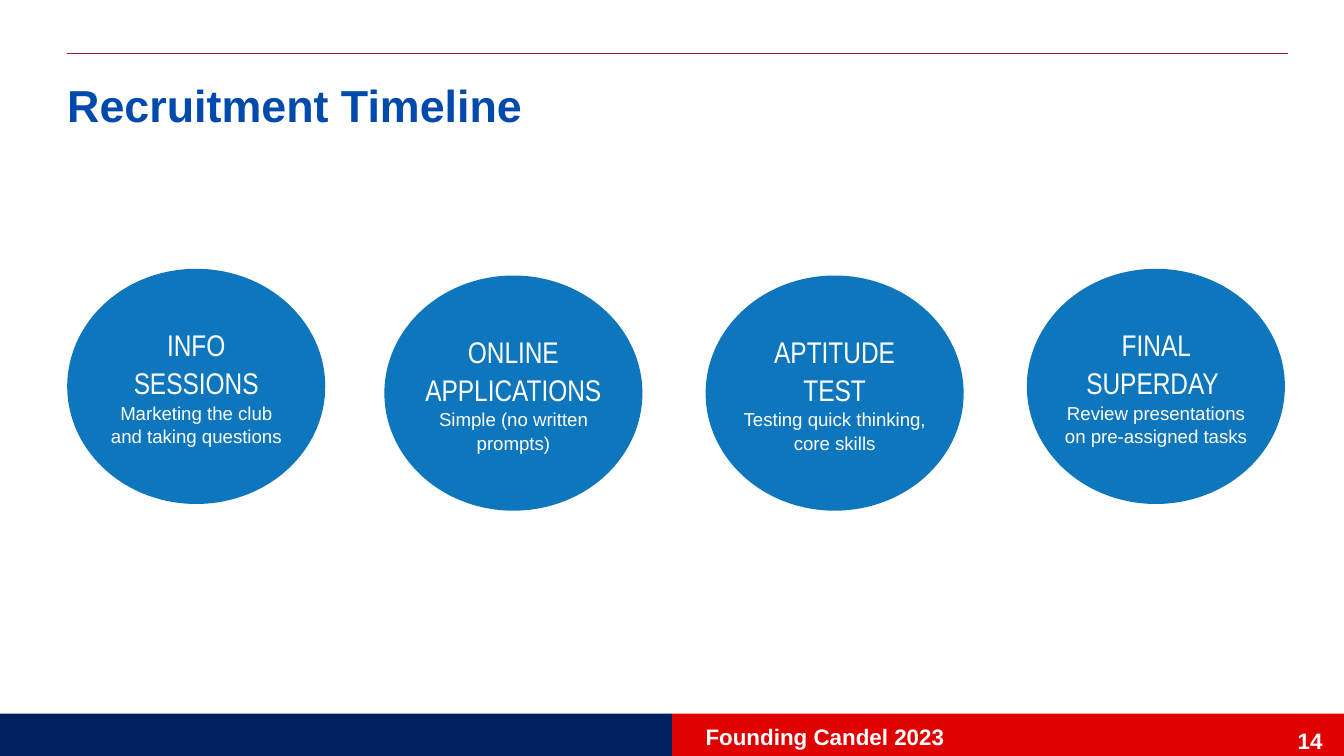
from dataclasses import dataclass

from lxml import etree
from pptx import Presentation
from pptx.dml.color import RGBColor
from pptx.enum.shapes import MSO_CONNECTOR, MSO_SHAPE
from pptx.enum.text import MSO_ANCHOR, PP_ALIGN
from pptx.oxml.ns import qn
from pptx.util import Inches, Pt

RECTANGLE, ELLIPSE = MSO_SHAPE.RECTANGLE, MSO_SHAPE.OVAL
STRAIGHT = MSO_CONNECTOR.STRAIGHT
TOP, MIDDLE = MSO_ANCHOR.TOP, MSO_ANCHOR.MIDDLE
LEFT, CENTER, RIGHT = PP_ALIGN.LEFT, PP_ALIGN.CENTER, PP_ALIGN.RIGHT

WIDTH = 10
HEIGHT = WIDTH * 9 / 16
MARGIN = 0.5
CONTENT_WIDTH = 9.08
FOOTER_TOP = 5.31
FIRST_COLUMN, COLUMN_PITCH = 0.47, 2.39
STAGE_TOP, STAGE_WIDTH, STAGE_HEIGHT = 2, 1.92, 1.75
INNER_DROP = 0.05


@dataclass(frozen=True)
class Theme:
    """Colours, fonts and type sizes of the slide."""
    title: str = "004AAD"
    stage: str = "0E76BC"
    navy: str = "002060"
    red: str = "E10000"
    rule: str = "981E32"
    white: str = "FFFFFF"
    body_font: str = "Arial"
    heading_font: str = "Arial Narrow"
    title_size: int = 24
    heading_size: int = 16
    footer_size: int = 12
    body_size: int = 10


@dataclass(frozen=True)
class Box:
    """A rectangle in inches."""
    left: float
    top: float
    width: float
    height: float

    def lengths(self):
        """Return the four lengths as python-pptx expects them."""
        return [Inches(v) for v in (self.left, self.top, self.width, self.height)]


@dataclass(frozen=True)
class Line:
    """One paragraph and its look."""
    text: str
    size: int
    color: str
    font: str = Theme.body_font
    bold: bool = False
    align: PP_ALIGN = LEFT
    spacing: float = 1.0


@dataclass(frozen=True)
class Stage:
    """One recruitment step."""
    headings: tuple[str, ...]
    detail: str
    drop: float = 0


THEME = Theme()
STAGES = (
    Stage(("INFO", "SESSIONS"), "Marketing the club and taking questions"),
    Stage(("ONLINE APPLICATIONS",), "Simple (no written prompts)", INNER_DROP),
    Stage(("APTITUDE TEST",), "Testing quick thinking, core skills", INNER_DROP),
    Stage(("FINAL SUPERDAY ",), "Review presentations on pre-assigned tasks"),
)


def write(frame, lines: list[Line], anchor=MIDDLE, right_inset: float = 0) -> None:
    """Fill a text frame with styled paragraphs."""
    frame.word_wrap = True
    frame.vertical_anchor = anchor
    frame.margin_left = frame.margin_top = frame.margin_bottom = 0
    frame.margin_right = Inches(right_inset)
    for index, line in enumerate(lines):
        paragraph = frame.add_paragraph() if index else frame.paragraphs[0]
        paragraph.text = line.text
        paragraph.alignment = line.align
        paragraph.line_spacing = line.spacing
        font = paragraph.font
        font.name, font.size, font.bold = line.font, Pt(line.size), line.bold
        font.color.rgb = RGBColor.from_string(line.color)


def add_filled(slide, kind, box: Box, color: str):
    """Add a flat shape without outline or shadow."""
    shape = slide.shapes.add_shape(kind, *box.lengths())
    shape.shadow.inherit = False
    shape.fill.solid()
    shape.fill.fore_color.rgb = RGBColor.from_string(color)
    shape.line.fill.background()
    return shape


def add_text(slide, box: Box, line: Line, anchor=MIDDLE, right_inset: float = 0) -> None:
    """Add a text box holding one paragraph."""
    text_box = slide.shapes.add_textbox(*box.lengths())
    write(text_box.text_frame, [line], anchor, right_inset)


def add_rule(slide, top: float) -> None:
    """Draw the thin line above the title."""
    start, end, height = Inches(MARGIN), Inches(MARGIN + CONTENT_WIDTH), Inches(top)
    rule = slide.shapes.add_connector(STRAIGHT, start, height, end, height)
    rule.line.color.rgb = RGBColor.from_string(THEME.rule)
    rule.line.width = Pt(0.5)
    etree.SubElement(rule._element.spPr, qn("a:effectLst"))


def add_stage(slide, column: int, stage: Stage) -> None:
    """Draw one step as an ellipse, kept inside the left margin."""
    left = max(MARGIN, FIRST_COLUMN + column * COLUMN_PITCH)
    box = Box(left, STAGE_TOP + stage.drop, STAGE_WIDTH, STAGE_HEIGHT)
    shape = add_filled(slide, ELLIPSE, box, THEME.stage)
    lines = [Line(text, THEME.heading_size, THEME.white, THEME.heading_font,
                  align=CENTER, spacing=1.05) for text in stage.headings]
    lines.append(Line(stage.detail, THEME.body_size, THEME.white,
                      align=CENTER, spacing=1.05))
    write(shape.text_frame, lines)


def add_footer(slide) -> None:
    """Draw the two-colour band with its label and page number."""
    half = WIDTH / 2
    for left, color in ((half, THEME.red), (0, THEME.navy)):
        add_filled(slide, RECTANGLE, Box(left, FOOTER_TOP, half, HEIGHT - FOOTER_TOP), color)
    add_text(slide, Box(5.25, 5.36, 3.5, 0.24),
             Line("Founding Candel 2023", THEME.footer_size, THEME.white, bold=True))
    add_text(slide, Box(9.25, 5.39, 0.84, 0.24),
             Line("14", THEME.footer_size, THEME.white, bold=True, align=RIGHT),
             right_inset=0.25)


def main() -> None:
    """Build and save the slide."""
    presentation = Presentation()
    presentation.slide_width, presentation.slide_height = Inches(WIDTH), Inches(HEIGHT)
    slide = presentation.slides.add_slide(presentation.slide_layouts[6])
    add_footer(slide)
    add_rule(slide, 0.4)
    add_text(slide, Box(MARGIN, 0.52, CONTENT_WIDTH, 0.62),
             Line("Recruitment Timeline", THEME.title_size, THEME.title,
                  bold=True, spacing=1.14), TOP)
    for column, stage in enumerate(STAGES):
        add_stage(slide, column, stage)
    presentation.save("out.pptx")


main()
